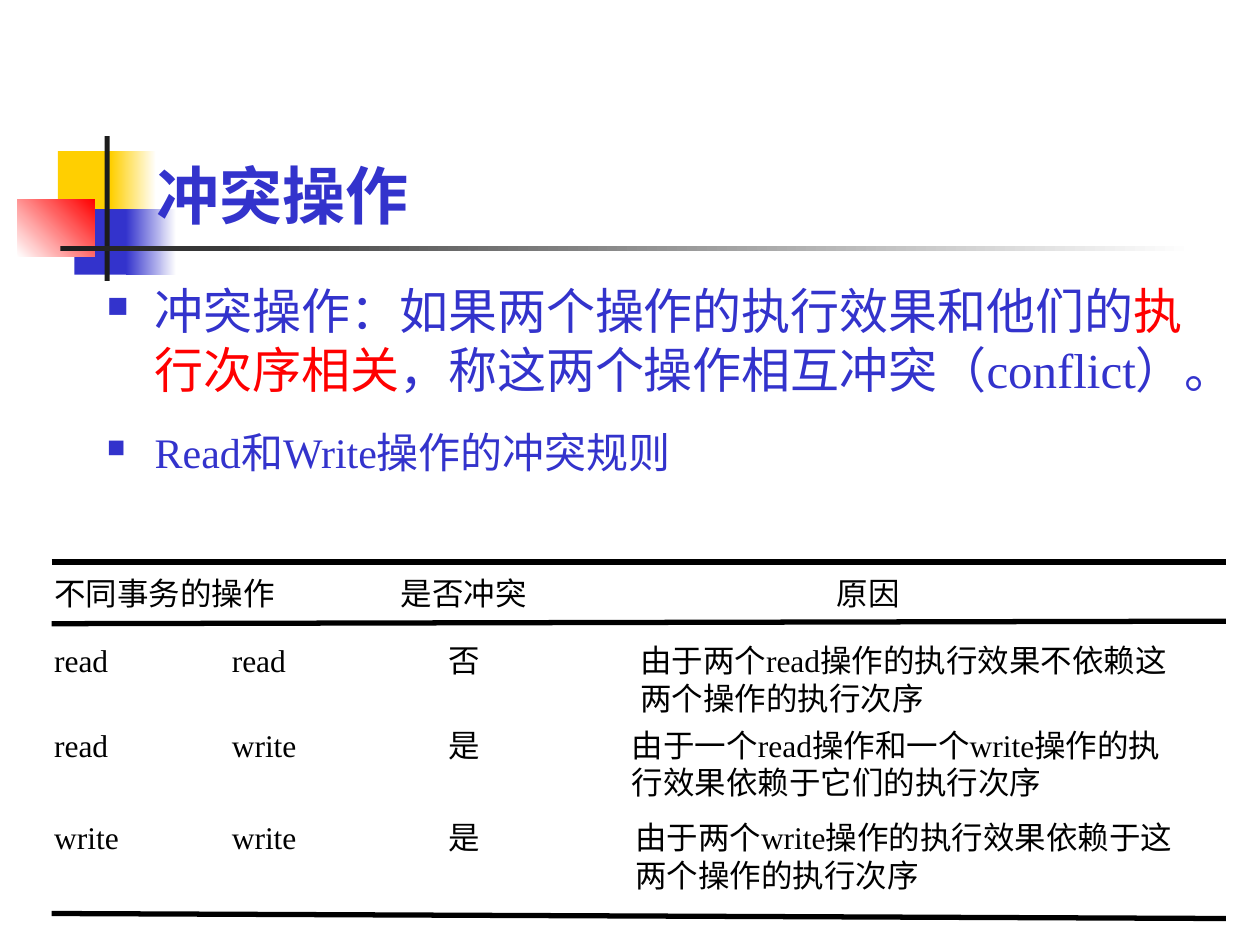
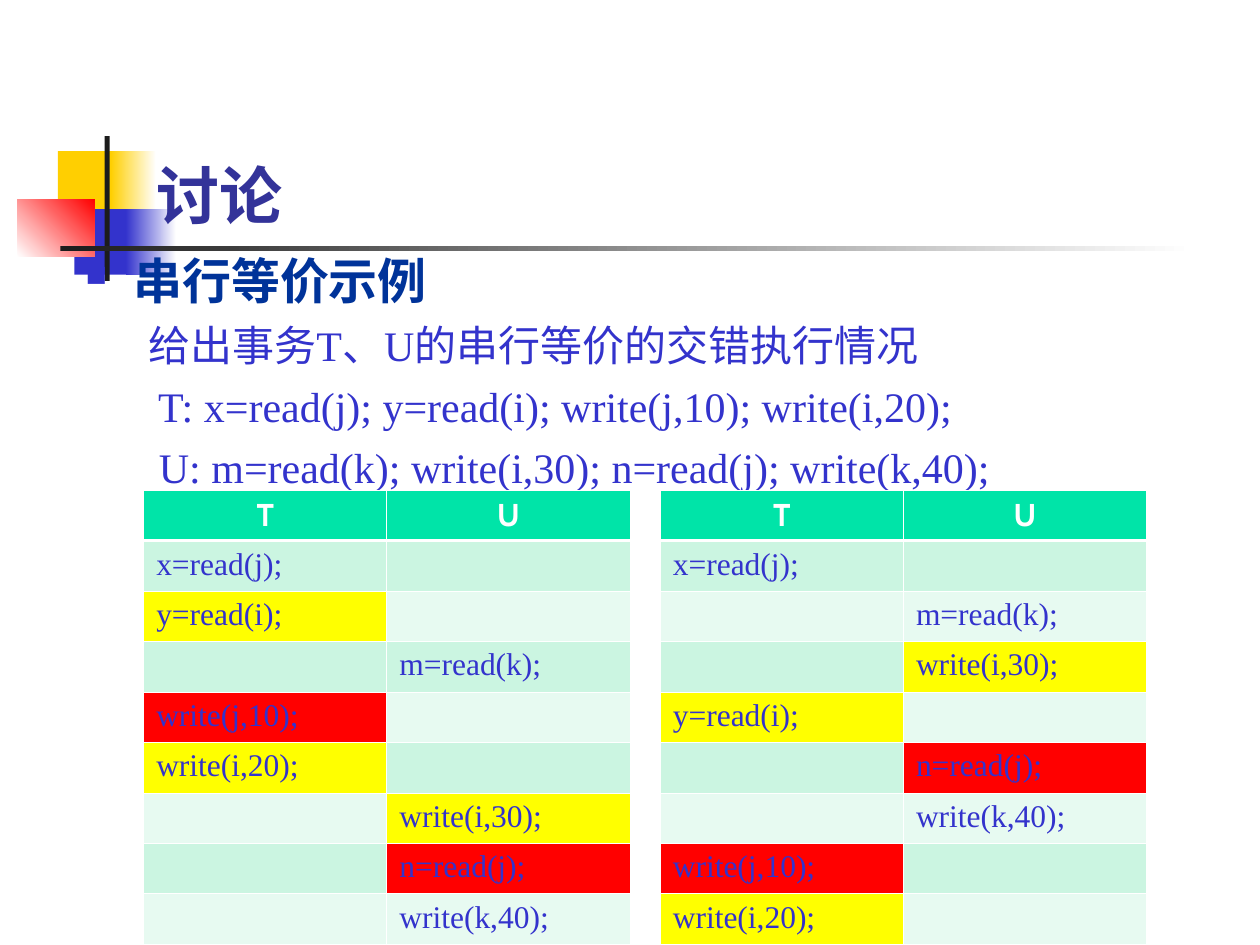
from lxml import etree
from pptx import Presentation
from pptx.dml.color import RGBColor
from pptx.enum import shapes, text
from pptx.oxml import ns
from pptx.util import Inches, Pt

COLORS = {
    "white": "FFFFFF", "black": "000000", "gold": "FFCF01", "blue": "3333CC",
    "indigo": "333399", "navy": "003399", "red": "FF0000", "ink": "1C1C1C",
    "header": "00E4A8", "dark_band": "CBF5E1", "light_band": "E7FAF1", "yellow": "FFFF00",
}
SERIF, SANS, HEADING = "Times New Roman", "Noto Sans CJK JP", "Cabin"

DECORATION = [
    ((0.46, 1.2, 0.48, 0.52), ["gold"], 0),
    ((0.88, 1.2, 0.36, 0.52), ["gold", "white"], 0),
    ((0.59, 1.66, 0.46, 0.52), ["blue"], 0),
    ((1, 1.66, 0.4, 0.52), ["blue", "white"], 0),
    ((0.14, 1.58, 0.61, 0.46), ["white", "red"], 45),
    ((0.83, 1.08, 0.04, 1.15), ["ink"], 0),
    ((0.48, 1.95, 9, 0.04), ["ink", "white"], 0),
]

DEFINITION = [
    ("冲突操作：如果两个操作的执行效果和他们的", "blue"),
    ("执行次序相关", "red"),
    ("，称这两个操作相互冲突（conflict）。", "blue"),
]
RULES_HEADING = "Read和Write操作的冲突规则"
RULE_HEADERS = [("不同事务的操作", 0.43, 1.75), ("是否冲突", 3.18, 1), ("原因", 6.64, 0.5)]
RULE_COLUMNS = [(0.43, 0.51), (1.84, 0.51), (3.56, 0.25)]
REASON_CENTER = 7.23
LABEL_SLACK = 0.15
RULES = [
    (5.09, ("read", "read", "否"), 4.3, "由于两个read操作的执行效果不依赖这\n两个操作的执行次序"),
    (5.76, ("read", "write", "是"), 4.43, "由于一个read操作和一个write操作的执\n行效果依赖于它们的执行次序"),
    (6.49, ("write", "write", "是"), 4.38, "由于两个write操作的执行效果依赖于这\n两个操作的执行次序"),
]
RULE_LINES = [(4.46, 4.46), (4.95, 4.93), (7.25, 7.29)]

EXAMPLE_HEADING = "串行等价示例"
EXAMPLE_LINES = [
    "给出事务T、U的串行等价的交错执行情况",
    " T: x=read(j); y=read(i); write(j,10); write(i,20);",
    " U: m=read(k); write(i,30); n=read(j); write(k,40);",
]
TRANSACTIONS = {
    "T": ["x=read(j);", "y=read(i);", "write(j,10);", "write(i,20);"],
    "U": ["m=read(k);", "write(i,30);", "n=read(j);", "write(k,40);"],
}
CONFLICTS = {
    "y=read(i);": "yellow", "write(i,20);": "yellow", "write(i,30);": "yellow",
    "write(j,10);": "red", "n=read(j);": "red",
}
SCHEDULES = ["TTUTTUUU", "TUUTUUTT"]
TABLE_LEFT, TABLE_TOP, TABLE_STEP = 1.14, 3.89, 4.1
COLUMN_WIDTH, ROW_HEIGHT = 1.93, 0.4


def rgb(name):
    return RGBColor.from_string(COLORS[name])


def inches(*lengths):
    return [Inches(length) for length in lengths]


def add_span(para, words, size, color, font=SERIF, bold=False):
    span = para.add_run()
    span.text = words
    span.font.size = Pt(size)
    span.font.bold = bold
    span.font.name = font
    span.font.color.rgb = rgb(color)
    east_asian = etree.SubElement(span.font._element, ns.qn("a:ea"))
    east_asian.set("typeface", SANS)


def add_box(page, place, margins=(0.1, 0.05, 0.1, 0.05)):
    frame = page.shapes.add_textbox(*inches(*place)).text_frame
    frame.word_wrap = True
    (frame.margin_left, frame.margin_top,
     frame.margin_right, frame.margin_bottom) = inches(*margins)
    return frame


def set_bullet(para):
    props = para._p.get_or_add_pPr()
    props.set("marL", str(Inches(0.38)))
    props.set("indent", str(-Inches(0.38)))
    color = etree.SubElement(props, ns.qn("a:buClr"))
    etree.SubElement(color, ns.qn("a:srgbClr")).set("val", COLORS["blue"])
    etree.SubElement(props, ns.qn("a:buSzPct")).set("val", "60000")
    etree.SubElement(props, ns.qn("a:buChar")).set("char", "■")


def add_page(deck, title, color):
    page = deck.slides.add_slide(deck.slide_layouts[6])
    for place, tones, angle in DECORATION:
        block = page.shapes.add_shape(shapes.MSO_SHAPE.RECTANGLE, *inches(*place))
        block.shadow.inherit = False
        block.line.fill.background()
        if len(tones) == 1:
            block.fill.solid()
            block.fill.fore_color.rgb = rgb(tones[0])
        else:
            block.fill.gradient()
            block.fill.gradient_angle = angle
            for stop, tone in zip(block.fill.gradient_stops, tones):
                stop.color.rgb = rgb(tone)
    frame = add_box(page, (1.14, 0.91, 7.4, 0.98))
    frame.vertical_anchor = text.MSO_ANCHOR.BOTTOM
    add_span(frame.paragraphs[0], title, 36, color, SANS, True)
    return page


def add_label(page, words, left, top, width):
    lines = words.split("\n")
    frame = add_box(page, (left, top, width + LABEL_SLACK, 0.3 * len(lines)), (0, 0, 0, 0))
    for number, line in enumerate(lines):
        para = frame.add_paragraph() if number else frame.paragraphs[0]
        add_span(para, line, 18, "black")


def add_conflict_rules(page):
    frame = add_box(page, (0.75, 2.18, 8.9, 2.2))
    para = frame.paragraphs[0]
    set_bullet(para)
    for words, color in DEFINITION:
        add_span(para, words, 28, color)
    para = frame.add_paragraph()
    set_bullet(para)
    para.space_before = Pt(16)
    add_span(para, RULES_HEADING, 24, "blue")

    for words, left, width in RULE_HEADERS:
        add_label(page, words, left, 4.56, width)
    for top, entries, reason_width, reason in RULES:
        for words, (left, width) in zip(entries, RULE_COLUMNS):
            add_label(page, words, left, top, width)
        add_label(page, reason, REASON_CENTER - reason_width / 2, top, reason_width)
    for start, end in RULE_LINES:
        line = page.shapes.add_connector(
            shapes.MSO_CONNECTOR.STRAIGHT, *inches(0.41, start, 9.73, end))
        line.line.color.rgb = rgb("black")
        line.line.width = Pt(3)
        etree.SubElement(line._element.spPr, ns.qn("a:effectLst"))


def style_cell(cell, fill, row):
    props = cell._tc.get_or_add_tcPr()
    for side in "LRTB":
        heavy = (row, side) in [(0, "B"), (1, "T")]
        border = etree.SubElement(props, ns.qn("a:ln" + side))
        border.set("w", str(Pt(1.47 if heavy else 0.45)))
        paint = etree.SubElement(border, ns.qn("a:solidFill"))
        etree.SubElement(paint, ns.qn("a:srgbClr")).set("val", COLORS["white"])
    cell.fill.solid()
    cell.fill.fore_color.rgb = rgb(fill)


def add_schedule(page, order, left):
    rows = len(order) + 1
    table = page.shapes.add_table(rows, len(TRANSACTIONS), *inches(
        left, TABLE_TOP, COLUMN_WIDTH * len(TRANSACTIONS), ROW_HEIGHT * rows)).table
    steps = {name: iter(actions) for name, actions in TRANSACTIONS.items()}
    for row, active in enumerate(" " + order):
        for column, name in enumerate(TRANSACTIONS):
            cell = table.cell(row, column)
            para = cell.text_frame.paragraphs[0]
            fill = "dark_band" if row % 2 else "light_band"
            if row == 0:
                fill = "header"
                para.alignment = text.PP_ALIGN.CENTER
                add_span(para, name, 18, "white", HEADING, True)
            elif name == active:
                step = next(steps[name])
                fill = CONFLICTS.get(step, fill)
                add_span(para, step, 18, "blue")
            style_cell(cell, fill, row)


def add_serial_example(page):
    frame = add_box(page, (0.58, 1.94, 9.14, 2))
    para = frame.paragraphs[0]
    set_bullet(para)
    add_span(para, EXAMPLE_HEADING, 28, "navy", bold=True)
    for line in EXAMPLE_LINES:
        para = frame.add_paragraph()
        para._p.get_or_add_pPr().set("marL", str(Inches(0.5)))
        para.space_before = Pt(6)
        add_span(para, line, 24, "blue")
    for number, order in enumerate(SCHEDULES):
        add_schedule(page, order, TABLE_LEFT + number * TABLE_STEP)


def main():
    deck = Presentation()
    deck.slide_width, deck.slide_height = inches(10, 7.5)
    add_conflict_rules(add_page(deck, "冲突操作", "blue"))
    add_serial_example(add_page(deck, "讨论", "indigo"))
    deck.save("out.pptx")


if __name__ == "__main__":
    main()
